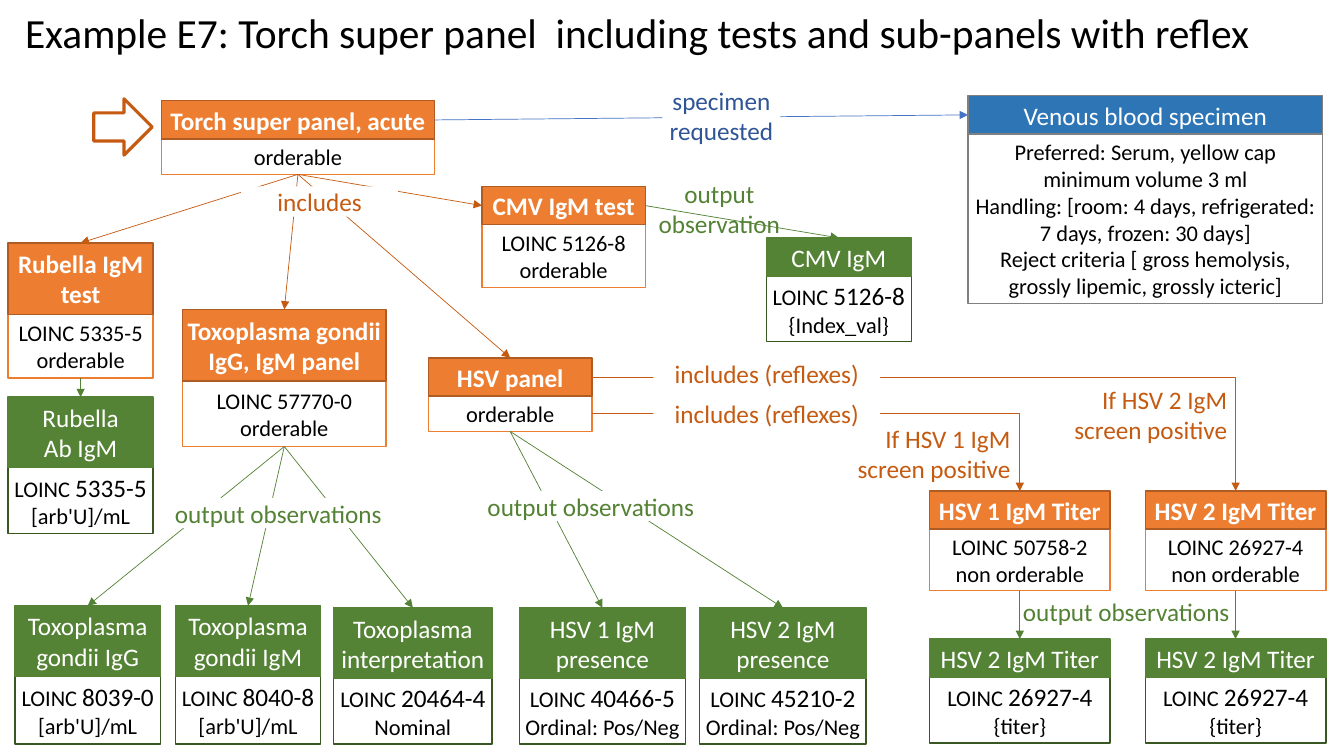
from pptx import Presentation
from pptx.dml.color import RGBColor
from pptx.enum.shapes import MSO_CONNECTOR as Link, MSO_SHAPE as Shape
from pptx.enum.text import MSO_ANCHOR as Anchor, PP_ALIGN as Align
from pptx.oxml import parse_xml
from pptx.oxml.ns import nsdecls
from pptx.util import Inches, Pt

FONT = "Calibri"
BLACK, WHITE = "000000", "FFFFFF"
RUST, GREEN, NAVY, BLUE = "C55A11", "548235", "2F5597", "4472C4"
ONE_LINE, TWO_LINES = 0.38, 0.7
TITLE = "Example E7: Torch super panel  including tests and sub-panels with reflex"

STYLES = {
    "order": {"fill": "ED7D31", "edge": "AF5C24", "body_edge": "ED7D31", "bold": True},
    "result": {"fill": "558335", "edge": GREEN, "body_edge": "385723", "bold": False},
    "specimen": {"fill": "2E75B6", "edge": "808080", "body_edge": "808080", "bold": False},
}

CARDS = {
    "torch": ("order", 1.6, 1, 2.71, ONE_LINE, 0.35, "Torch super panel, acute", "orderable"),
    "blood": ("specimen", 9.6, 0.95, 3.52, ONE_LINE, 1.68, "Venous blood specimen",
              "Preferred: Serum, yellow cap\nminimum volume 3 ml\n"
              "Handling: [room: 4 days, refrigerated: 7 days, frozen: 30 days]\n"
              "Reject criteria [ gross hemolysis, grossly lipemic, grossly icteric]"),
    "rubella": ("order", 0.08, 2.41, 1.44, 0.71, 0.63, "Rubella IgM test",
                "LOINC 5335-5\norderable"),
    "toxo": ("order", 1.81, 3.07, 2.02, 0.71, 0.65, "Toxoplasma gondii IgG, IgM panel",
             "LOINC 57770-0\norderable"),
    "cmv": ("order", 4.78, 1.85, 1.62, ONE_LINE, 0.62, "CMV IgM test",
            "LOINC 5126-8\norderable"),
    "hsv": ("order", 4.25, 3.55, 1.62, ONE_LINE, 0.35, "HSV panel", "orderable"),
    "titer 1": ("order", 9.22, 4.87, 1.79, ONE_LINE, 0.61, "HSV 1 IgM Titer",
                "LOINC 50758-2\nnon orderable"),
    "titer 2": ("order", 11.36, 4.87, 1.79, ONE_LINE, 0.61, "HSV 2 IgM Titer",
                "LOINC 26927-4\nnon orderable"),
    "rubella result": ("result", 0.08, 3.94, 1.44, TWO_LINES, 0.65, "Rubella\nAb IgM",
                       "LOINC 5335-5\n[arb'U]/mL"),
    "cmv result": ("result", 7.6, 2.36, 1.44, ONE_LINE, 0.65, "CMV IgM",
                   "LOINC 5126-8\n{Index_val}"),
    "toxo igg": ("result", 0.15, 6.01, 1.44, TWO_LINES, 0.67, "Toxoplasma gondii IgG",
                 "LOINC 8039-0\n[arb'U]/mL"),
    "toxo igm": ("result", 1.74, 6.01, 1.44, TWO_LINES, 0.67, "Toxoplasma gondii IgM",
                 "LOINC 8040-8\n[arb'U]/mL"),
    "toxo reading": ("result", 3.31, 6.03, 1.57, TWO_LINES, 0.65, "Toxoplasma interpretation",
                     "LOINC 20464-4\nNominal"),
    "hsv 1": ("result", 5.15, 6.03, 1.65, TWO_LINES, 0.65, "HSV 1 IgM presence",
              "LOINC 40466-5\nOrdinal: Pos/Neg"),
    "hsv 2": ("result", 6.94, 6.03, 1.65, TWO_LINES, 0.65, "HSV 2 IgM presence",
              "LOINC 45210-2\nOrdinal: Pos/Neg"),
    "titer 1 result": ("result", 9.22, 6.34, 1.79, ONE_LINE, 0.65, "HSV 2 IgM Titer",
                       "LOINC 26927-4\n{titer}"),
    "titer 2 result": ("result", 11.36, 6.34, 1.79, ONE_LINE, 0.65, "HSV 2 IgM Titer",
                       "LOINC 26927-4\n{titer}"),
}

LINKS = [
    ("torch", "head", "blood", "left", BLUE),
    ("torch", "bottom", "cmv", "left", RUST),
    ("cmv", "head", "cmv result", "top", GREEN),
    ("hsv", "head", "titer 2", "top", RUST),
    ("hsv", "body", "titer 1", "top", RUST),
]
for parent, children, color in [
    ("torch", ["rubella", "toxo", "hsv"], RUST),
    ("rubella", ["rubella result"], GREEN),
    ("toxo", ["toxo igg", "toxo igm", "toxo reading"], GREEN),
    ("hsv", ["hsv 1", "hsv 2"], GREEN),
    ("titer 1", ["titer 1 result"], GREEN),
    ("titer 2", ["titer 2 result"], GREEN),
]:
    LINKS += [(parent, "bottom", child, "top", color) for child in children]

LABELS = [
    ("specimen requested", 6.57, 0.84, 1.17, 0.61, NAVY, WHITE, 0),
    ("includes", 2.39, 1.85, 1.56, 0.3, RUST, WHITE, 0.1),
    ("output observation", 6.43, 1.76, 1.41, 0.61, GREEN, None, 0.1),
    ("includes (reflexes)", 6.48, 3.55, 2.25, 0.3, RUST, WHITE, 0.1),
    ("includes (reflexes)", 6.48, 3.95, 2.25, 0.3, RUST, WHITE, 0.1),
    ("output observations", 1.57, 4.94, 2.38, 0.3, GREEN, WHITE, 0.1),
    ("output observations", 4.67, 4.87, 2.38, 0.3, GREEN, WHITE, 0.1),
    ("output observations", 9.98, 5.92, 2.38, 0.3, GREEN, None, 0.1),
]
CONDITIONS = [
    ("If HSV 1 IgM screen positive", 8.33, 4.15),
    ("If HSV 2 IgM screen positive", 10.48, 3.76),
]

deck = Presentation()
deck.slide_width, deck.slide_height = Inches(13.33), Inches(7.5)
page = deck.slides.add_slide(deck.slide_layouts[6])


def rgb(color):
    return RGBColor.from_string(color)


def write(box, text, size, color, bold=False, align=Align.CENTER,
          anchor=Anchor.MIDDLE, inset=(0.04, 0.04)):
    frame = box.text_frame
    frame.text = text
    frame.word_wrap = True
    frame.vertical_anchor = anchor
    frame.margin_left = frame.margin_right = Inches(inset[0])
    frame.margin_top = frame.margin_bottom = Inches(inset[1])
    for para in frame.paragraphs:
        para.alignment = align
        for span in para.runs:
            style(span, size, color, bold)
    return frame


def style(span, size, color, bold=False):
    span.font.name, span.font.size, span.font.bold = FONT, Pt(size), bold
    span.font.color.rgb = rgb(color)


def add_box(kind, place, fill=None, edge=None, weight=1):
    box = page.shapes.add_shape(kind, *map(Inches, place))
    box.shadow.inherit = False
    for part, color in ((box.fill, fill), (box.line.fill, edge)):
        if color:
            part.solid()
            part.fore_color.rgb = rgb(color)
        else:
            part.background()
    if edge:
        box.line.width = Pt(weight)
    return box


def add_card(kind, left, top, width, head, body, heading, detail):
    look = STYLES[kind]
    lower = add_box(Shape.RECTANGLE, (left, top + head, width, body), WHITE, look["body_edge"])
    frame = write(lower, detail, 16, BLACK)
    if kind == "result":
        para = frame.paragraphs[0]
        label, code = para.text.split()
        para.runs[0].text = label + " "
        span = para.add_run()
        span.text = code
        style(span, 18, BLACK)
    upper = add_box(Shape.RECTANGLE, (left, top, width, head), look["fill"], look["edge"])
    write(upper, heading, 18, WHITE, look["bold"])


def port(name, side):
    left, top, width, head, body = CARDS[name][1:6]
    return {
        "top": (left + width / 2, top),
        "bottom": (left + width / 2, top + head + body),
        "left": (left, top + head / 2),
        "head": (left + width, top + head / 2),
        "body": (left + width, top + head + body / 2),
    }[side]


def add_link(source, exit_side, target, entry_side, color):
    bent = source == "hsv" and exit_side != "bottom"
    ends = port(source, exit_side) + port(target, entry_side)
    link = page.shapes.add_connector(Link.ELBOW if bent else Link.STRAIGHT, *map(Inches, ends))
    link.line.color.rgb = rgb(color)
    link.line.width = Pt(0.5)
    props = link._element.spPr
    if bent:
        props.prstGeom.set("prst", "bentConnector2")
    link.line._get_or_add_ln().append(parse_xml(f'<a:tailEnd {nsdecls("a")} type="triangle"/>'))
    props.append(parse_xml(f'<a:effectLst {nsdecls("a")}/>'))


for card in CARDS.values():
    add_card(*card)
add_box(Shape.RIGHT_ARROW, (0.93, 0.98, 0.58, 0.56), None, RUST, 2.25)
for connection in LINKS:
    add_link(*connection)
for text, left, top, width, height, color, fill, inset in LABELS:
    label_box = add_box(Shape.RECTANGLE, (left, top, width, height), fill)
    write(label_box, text, 18, color, inset=(inset, 0))
for text, left, top in CONDITIONS:
    note = page.shapes.add_textbox(*map(Inches, (left, top, 1.79, 0.71)))
    write(note, text, 18, RUST, align=Align.RIGHT, anchor=Anchor.TOP, inset=(0.1, 0.05))

title = page.shapes.add_textbox(*map(Inches, (0.15, 0.05, 12.94, 0.57)))
title_frame = write(title, TITLE, 29.6, BLACK, align=Align.LEFT, anchor=Anchor.BOTTOM,
                    inset=(0.1, 0.05))
title_frame.paragraphs[0].line_spacing = 0.9

deck.save("out.pptx")
